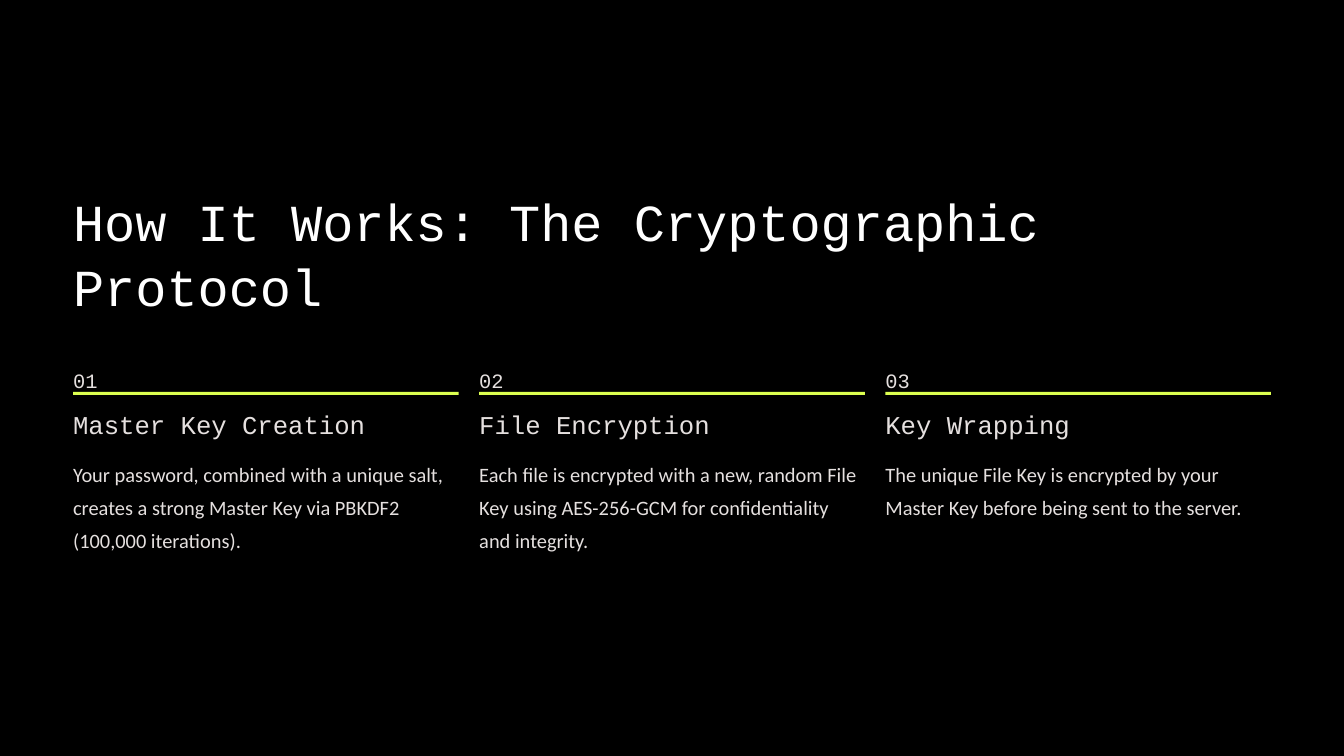
"""Build the slide on the three steps of the cryptographic protocol."""
from pptx import Presentation
from pptx import util as u
from pptx.dml.color import RGBColor
from pptx.enum import shapes

PX = u.Inches(1) // 200
THEME = {
    "back": RGBColor.from_string("000000"),
    "line": RGBColor.from_string("DCFF50"),
    "title": ("Courier New", 44.5, 55.5, RGBColor.from_string("FFFFFF")),
    "num": ("Courier New", 17.5, 28.5, RGBColor.from_string("E5E0DF")),
    "head": ("Courier New", 22, 27.5, RGBColor.from_string("E5E0DF")),
    "body": ("Calibri", 17.5, 28.5, RGBColor.from_string("E5E0DF")),
}
LEFT, WIDTH, COL, GAP = 174, 2852, 918, 49
STEPS = [
    ("Master Key Creation", 706,
     "Your password, combined with a unique salt, creates a strong "
     "Master Key via PBKDF2 (100,000 iterations)."),
    ("File Encryption", 620,
     "Each file is encrypted with a new, random File Key using "
     "AES-256-GCM for confidentiality and integrity."),
    ("Key Wrapping", 620,
     "The unique File Key is encrypted by your Master Key before "
     "being sent to the server."),
]

deck = Presentation()
deck.slide_width, deck.slide_height = 3200 * PX, 1800 * PX
slide = deck.slides.add_slide(deck.slide_layouts[6])
slide.background.fill.solid()
slide.background.fill.fore_color.rgb = THEME["back"]


def write(words, style, x, y, w, h, wrap=True):
    """Add a text box without margins in one of the theme's styles."""
    frame = slide.shapes.add_textbox(x * PX, y * PX, w * PX, h * PX).text_frame
    frame.margin_left = frame.margin_top = 0
    frame.margin_right = frame.margin_bottom = 0
    frame.word_wrap = wrap
    para = frame.paragraphs[0]
    para.text = words
    face, size, lead, color = THEME[style]
    para.line_spacing = u.Pt(lead)
    para.font.name, para.font.size = face, u.Pt(size)
    para.font.color.rgb = color


write("How It Works: The Cryptographic Protocol", "title", LEFT, 446, WIDTH, 310)

for i, (head, wide, body) in enumerate(STEPS):
    x = LEFT + i * (COL + GAP)
    write(f"{i + 1:02}", "num", x, 856, 60, 62, wrap=False)
    rule = slide.shapes.add_shape(
        shapes.MSO_SHAPE.RECTANGLE, x * PX, 933 * PX, COL * PX, 7 * PX)
    rule.shadow.inherit = False
    rule.fill.solid()
    rule.fill.fore_color.rgb = THEME["line"]
    rule.line.fill.background()
    write(head, "head", x, 971, wide, 78, wrap=False)
    write(body, "body", x, 1079, COL, 238)

deck.save("out.pptx")
